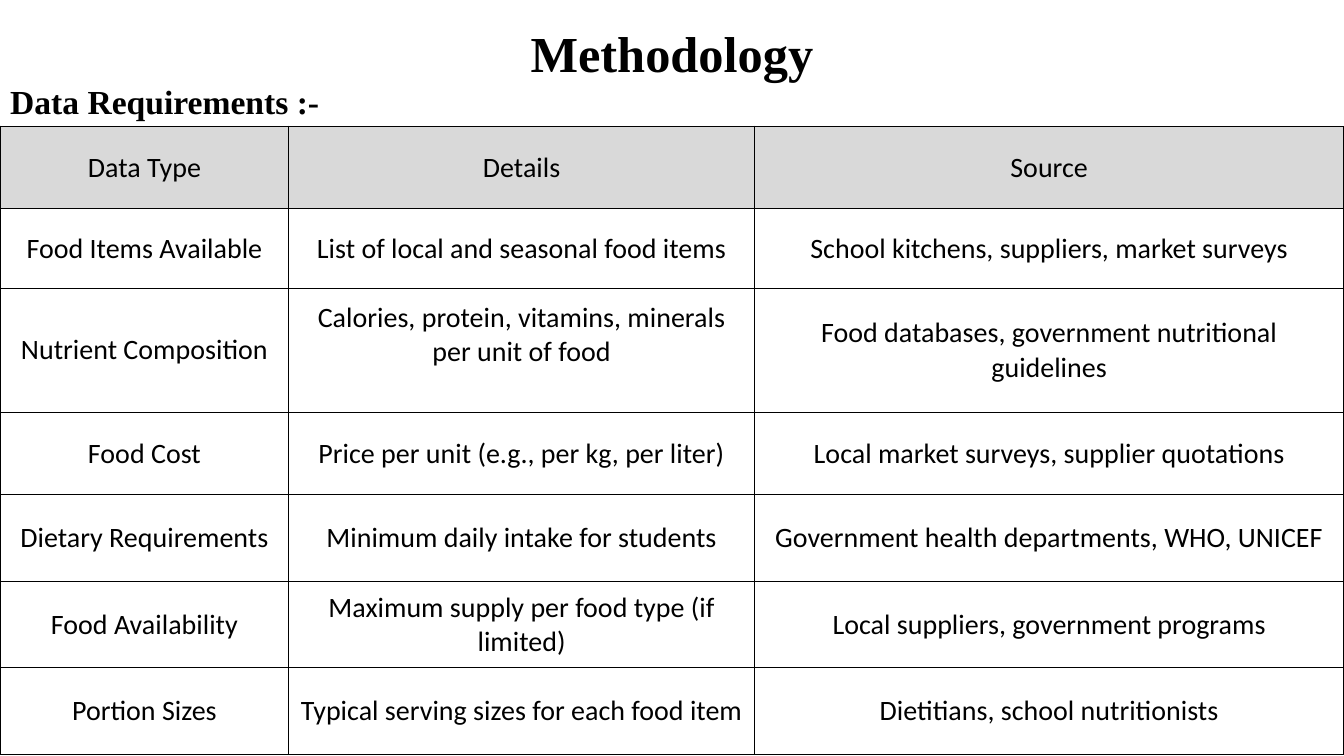
from pptx import Presentation
from pptx.dml.color import RGBColor
from pptx.enum.text import MSO_ANCHOR, MSO_AUTO_SIZE, PP_ALIGN
from pptx.oxml import parse_xml
from pptx.oxml.ns import nsdecls
from pptx.util import Cm, Pt

COLORS = {"ink": "000000", "header": "D9D9D9", "paper": "FFFFFF"}
SLIDE_WIDTH = 33.87
COLUMN_WIDTHS = [7.28, 11.73, 14.86]
ROW_HEIGHTS = [2.08, 2.01, 3.12, 2.08, 2.18, 2.18, 2.18]
REQUIREMENTS = [
    ("Data Type", "Details", "Source"),
    ("Food Items Available", "List of local and seasonal food items",
     "School kitchens, suppliers, market surveys"),
    ("Nutrient Composition", "Calories, protein, vitamins, minerals per unit of food",
     "Food databases, government nutritional guidelines"),
    ("Food Cost", "Price per unit (e.g., per kg, per liter)",
     "Local market surveys, supplier quotations"),
    ("Dietary Requirements", "Minimum daily intake for students",
     "Government health departments, WHO, UNICEF"),
    ("Food Availability", "Maximum supply per food type (if limited)",
     "Local suppliers, government programs"),
    ("Portion Sizes", "Typical serving sizes for each food item",
     "Dietitians, school nutritionists"),
]


def apply_format(target, values):
    for name, value in values.items():
        setattr(target, name, value)


class SlideBuilder:
    heading_font = {"name": "Times New Roman", "bold": True}
    cell_font = {"name": "Calibri", "size": Pt(20), "bold": False}

    def __init__(self, slide):
        self.slide = slide

    def add_text(self, frame, text, align, font):
        paragraph = frame.paragraphs[0]
        apply_format(paragraph, {"alignment": align, "space_before": Pt(0)})
        run = paragraph.add_run()
        run.text = text
        apply_format(run.font, font)
        run.font.color.rgb = RGBColor.from_string(COLORS["ink"])
        return paragraph

    def heading(self, placeholder, text, top, height, size, align, anchor):
        """Move a placeholder to a full-width band and fill it with unbulleted text."""
        apply_format(placeholder, {"left": Cm(0), "top": Cm(top),
                                   "width": Cm(SLIDE_WIDTH), "height": Cm(height)})
        apply_format(placeholder.text_frame, {"word_wrap": True, "vertical_anchor": anchor,
                                              "auto_size": MSO_AUTO_SIZE.NONE})
        paragraph = self.add_text(placeholder.text_frame, text, align,
                                  {**self.heading_font, "size": Pt(size)})
        properties = paragraph._p.get_or_add_pPr()
        properties.set("marL", "0")
        properties.set("indent", "0")
        properties.append(parse_xml(f"<a:buNone {nsdecls('a')}/>"))

    def border(self, cell):
        properties = cell._tc.get_or_add_tcPr()
        for position, side in enumerate(("lnL", "lnR", "lnT", "lnB")):
            properties.insert(position, parse_xml(
                f'<a:{side} {nsdecls("a")} w="{Pt(1)}"><a:solidFill>'
                f'<a:srgbClr val="{COLORS["ink"]}"/></a:solidFill></a:{side}>'))

    def table(self, rows, top):
        table = self.slide.shapes.add_table(
            len(rows), len(COLUMN_WIDTHS), Cm(0), Cm(top),
            Cm(SLIDE_WIDTH), Cm(sum(ROW_HEIGHTS))).table
        apply_format(table, {"first_row": False, "horz_banding": False})
        for column, width in zip(table.columns, COLUMN_WIDTHS):
            column.width = Cm(width)
        for index, (row, height, texts) in enumerate(zip(table.rows, ROW_HEIGHTS, rows)):
            row.height = Cm(height)
            fill = COLORS["paper" if index else "header"]
            for cell, text in zip(row.cells, texts):
                cell.vertical_anchor = MSO_ANCHOR.MIDDLE
                self.add_text(cell.text_frame, text, PP_ALIGN.CENTER, self.cell_font)
                cell.fill.solid()
                cell.fill.fore_color.rgb = RGBColor.from_string(fill)
                self.border(cell)
        return table


def main():
    deck = Presentation()
    apply_format(deck, {"slide_width": Cm(SLIDE_WIDTH), "slide_height": Cm(19.05)})
    slide = deck.slides.add_slide(deck.slide_layouts[1])
    builder = SlideBuilder(slide)
    methodology, data_requirements = slide.placeholders
    builder.heading(methodology, "Methodology", 0.43, 1.8, 36,
                    PP_ALIGN.CENTER, MSO_ANCHOR.MIDDLE)
    builder.heading(data_requirements, "Data Requirements :-", 1.9, 1.27, 24,
                    PP_ALIGN.JUSTIFY, MSO_ANCHOR.TOP)
    requirements = builder.table(REQUIREMENTS, 3.18)
    # The nutrient details sit a little above the middle of their row.
    requirements.cell(2, 1).margin_bottom = Cm(0.9)
    deck.save("out.pptx")


if __name__ == "__main__":
    main()
